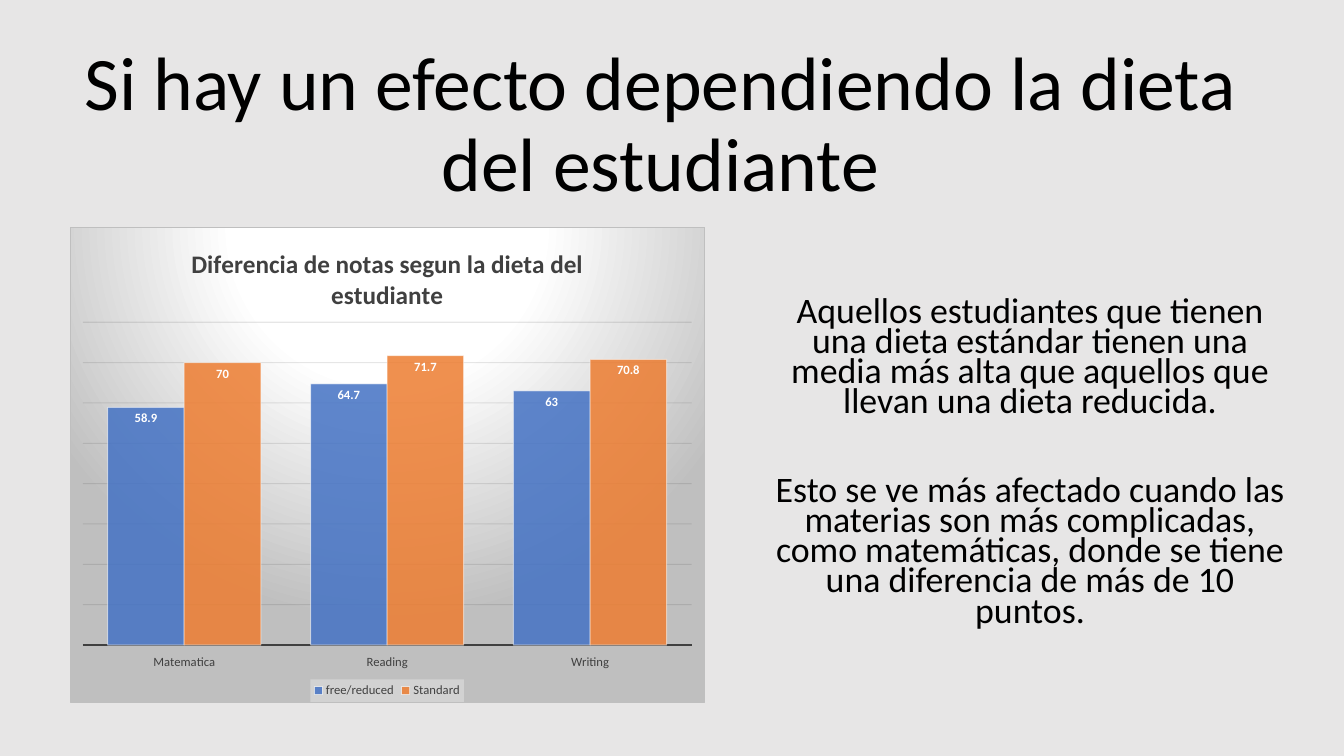
from lxml.etree import SubElement, fromstring
from pptx import Presentation
from pptx.chart.data import CategoryChartData
from pptx.dml.color import RGBColor
from pptx.enum.chart import XL_CHART_TYPE, XL_LABEL_POSITION, XL_LEGEND_POSITION, XL_TICK_LABEL_POSITION, XL_TICK_MARK
from pptx.enum.text import MSO_ANCHOR, PP_ALIGN
from pptx.oxml.ns import nsdecls, qn
from pptx.util import Inches, Pt

TITLE = ["Si hay un efecto dependiendo la dieta del estudiante"]
BODY = [
    "Aquellos estudiantes que tienen una dieta estándar tienen una media más alta que aquellos que llevan una dieta reducida.",
    "Esto se ve más afectado cuando las materias son más complicadas, como matemáticas, donde se tiene una diferencia de más de 10 puntos.",
]
HEAD = "Diferencia de notas segun la dieta del estudiante"
CATS = ["Matematica", "Reading", "Writing"]
DATA = {"free/reduced": (58.9, 64.7, 63), "Standard": (70, 71.7, 70.8)}
BOX = {
    "title": (0.26, 0.71, 12.58, 1.09),
    "body": (7.59, 2.61, 5.25, 3.99),
    "chart": (0.69, 2.25, 6.3, 4.72),
}
PLOT = {"x": 0.02, "y": 0.2, "w": 0.96, "h": 0.68}
THEME = {
    "face": "Calibri",
    "back": "E7E6E6", "ink": "000000", "gray": "404040", "grid": "0D0D0D",
    "white": "FFFFFF", "edge": "BFBFBF", "key": "F2F2F2",
    "bars": ("4472C4", "ED7D31"),
    "title": 54, "body": 25.6, "head": 18, "base": 10, "small": 9,
}


def color(name):
    return RGBColor.from_string(THEME.get(name, name))


def assign(item, **vals):
    for key, val in vals.items():
        setattr(item, key, val)


def style(font, size, ink, bold=False):
    assign(font, name=THEME["face"], size=Pt(THEME[size]), bold=bold)
    font.color.rgb = color(ink)


def stroke(line, ink, width):
    line.color.rgb = color(ink)
    line.width = Pt(width)


def fade(root, *parts):
    for node, part in zip(root.iter(qn("a:srgbClr")), parts):
        SubElement(node, qn("a:alpha"), val=str(part * 1000))


def place(name):
    return [Inches(n) for n in BOX[name]]


def write(slide, name, lines, space, first, gap):
    frame = slide.shapes.add_textbox(*place(name)).text_frame
    assign(frame, word_wrap=True, vertical_anchor=MSO_ANCHOR.MIDDLE)
    for i, text in enumerate(lines):
        para = frame.add_paragraph() if i else frame.paragraphs[0]
        assign(para, alignment=PP_ALIGN.CENTER, line_spacing=space,
               space_before=Pt(gap if i else first))
        run = para.add_run()
        run.text = text
        style(run.font, name, "ink")


def panel():
    stops = "".join(
        f'<a:gs pos="{pos * 1000}"><a:srgbClr val="{THEME[ink]}"/></a:gs>'
        for pos, ink in ((0, "white"), (39, "white"), (100, "edge")))
    return fromstring(
        f'<c:spPr {nsdecls("c", "a")}><a:gradFill><a:gsLst>{stops}</a:gsLst>'
        '<a:path path="circle"><a:fillToRect l="50000" t="-80000" r="50000" b="180000"/></a:path>'
        f'</a:gradFill><a:ln w="{Pt(0.75)}"><a:solidFill><a:srgbClr val="{THEME["edge"]}"/>'
        '</a:solidFill></a:ln></c:spPr>')


def layout(root):
    area = root.find(".//" + qn("c:plotArea"))
    node = area.find(qn("c:layout"))
    if node is None:
        node = SubElement(area, qn("c:layout"))
        area.insert(0, node)
    spot = SubElement(node, qn("c:manualLayout"))
    SubElement(spot, qn("c:layoutTarget"), val="inner")
    for key in "xy":
        SubElement(spot, qn(f"c:{key}Mode"), val="edge")
    for key, val in PLOT.items():
        SubElement(spot, qn(f"c:{key}"), val=str(val))


def draw(slide):
    data = CategoryChartData()
    data.categories = CATS
    for name, vals in DATA.items():
        data.add_series(name, vals)
    chart = slide.shapes.add_chart(
        XL_CHART_TYPE.COLUMN_CLUSTERED, *place("chart"), data).chart
    style(chart.font, "base", "ink")
    chart.element.find(qn("c:chart")).addnext(panel())
    layout(chart.element)

    assign(chart, has_title=True, has_legend=True)
    frame = chart.chart_title.text_frame
    frame.text = HEAD
    style(frame.paragraphs[0].runs[0].font, "head", "gray", True)
    chart.chart_title.include_in_layout = False

    key = chart.legend
    assign(key, position=XL_LEGEND_POSITION.BOTTOM, include_in_layout=False)
    style(key.font, "small", "gray")
    fill = fromstring(
        f'<c:spPr {nsdecls("c", "a")}><a:solidFill>'
        f'<a:srgbClr val="{THEME["key"]}"/></a:solidFill></c:spPr>')
    fade(fill, 39)
    key.font
    chart.element.find(".//" + qn("c:legend")).find(qn("c:txPr")).addprevious(fill)

    base = chart.category_axis
    assign(base, major_tick_mark=XL_TICK_MARK.NONE, minor_tick_mark=XL_TICK_MARK.NONE,
           tick_label_position=XL_TICK_LABEL_POSITION.LOW)
    style(base.tick_labels.font, "small", "gray")
    stroke(base.format.line, "gray", 1.5)

    scale = chart.value_axis
    assign(scale, visible=False, minimum_scale=0, maximum_scale=80, major_unit=10,
           has_major_gridlines=True)
    stroke(scale.major_gridlines.format.line, "grid", 0.75)
    fade(chart.element.find(".//" + qn("c:majorGridlines")), 10)

    plot = chart.plots[0]
    assign(plot, gap_width=65, overlap=0, vary_by_categories=False)
    for bar, ink in zip(plot.series, THEME["bars"]):
        bar.format.fill.solid()
        bar.format.fill.fore_color.rgb = color(ink)
        stroke(bar.format.line, "white", 0.75)
        fade(bar.format.element, 85, 50)
        tags = bar.data_labels
        assign(tags, show_value=True, position=XL_LABEL_POSITION.INSIDE_END)
        style(tags.font, "small", "white", True)


deck = Presentation()
assign(deck, slide_width=Inches(13.33), slide_height=Inches(7.5))
slide = deck.slides.add_slide(deck.slide_layouts[6])
slide.background.fill.solid()
slide.background.fill.fore_color.rgb = color("back")
write(slide, "title", TITLE, 0.9, 0, 0)
write(slide, "body", BODY, 0.7, 10, 42)
draw(slide)
deck.save("out.pptx")
